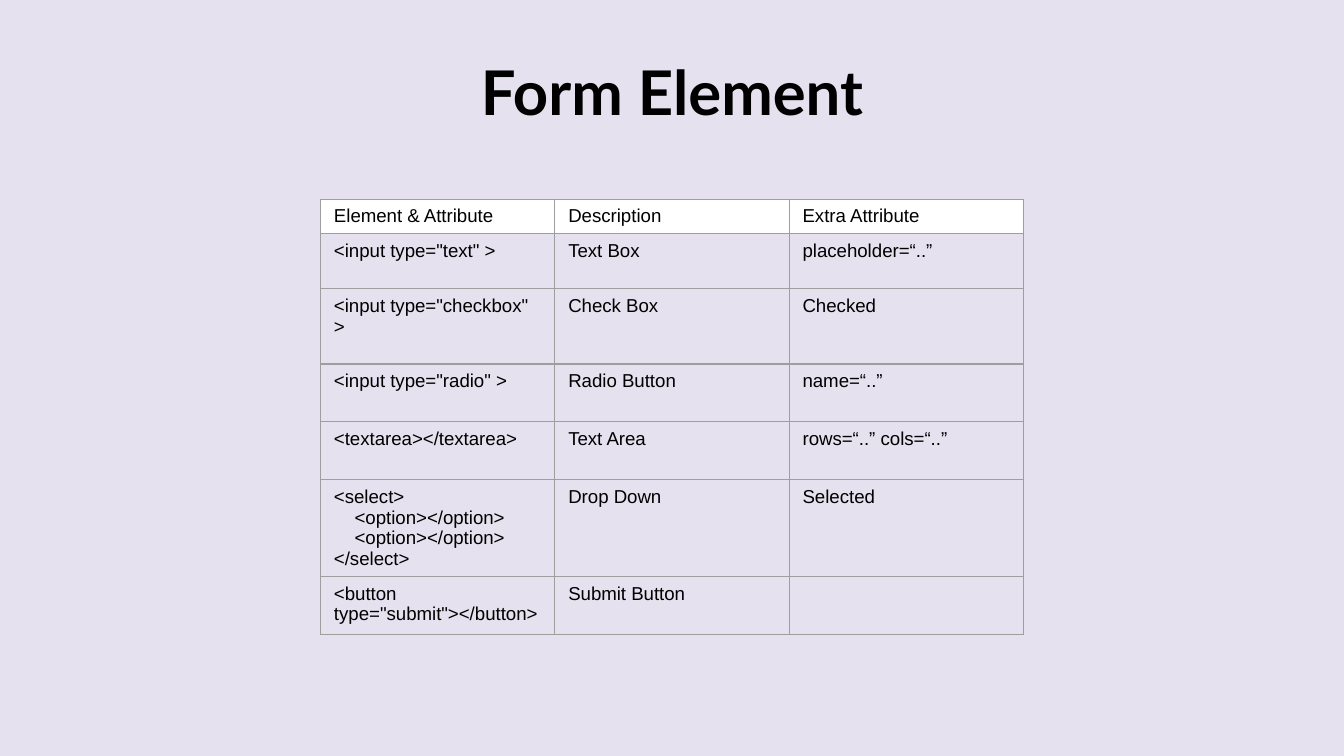
import pptx
import pptx.dml.color
import pptx.enum.text
import pptx.oxml
import pptx.oxml.ns
import pptx.util
from lxml import etree

WIDTH = pptx.util.Inches(10)
HEIGHT = WIDTH * 9 // 16
COLOURS = {"page": "E5E1EE", "text": "000000", "header": "FFFFFF", "border": "9E9E9E"}
BORDER_WIDTH = pptx.util.Pt(0.75)

ROWS = [
    ("Element & Attribute", "Description", "Extra Attribute"),
    ('<input type="text" >', "Text Box", "placeholder=“..”"),
    ('<input type="checkbox" >', "Check Box", "Checked"),
    ('<input type="radio" >', "Radio Button", "name=“..”"),
    ("<textarea></textarea>", "Text Area", "rows=“..” cols=“..”"),
    ("<select>\n    <option></option>\n    <option></option>\n</select>", "Drop Down", "Selected"),
    ('<button type="submit"></button>', "Submit Button", ""),
]
ROW_SHARES = [0.25, 0.41, 0.56, 0.43, 0.43, 0.72, 0.43]


def colour(name):
    return pptx.dml.color.RGBColor.from_string(COLOURS[name])


def centred_box(top, width, height):
    """Turn percentages of the slide's size into a horizontally centred box in EMU."""
    box_width = int(WIDTH * width / 100)
    return ((WIDTH - box_width) // 2, int(HEIGHT * top / 100),
            box_width, int(HEIGHT * height / 100))


def write_text(frame, text, size=10, font="Arial", bold=False,
               align=pptx.enum.text.PP_ALIGN.LEFT):
    frame.word_wrap = True
    for index, line in enumerate(text.split("\n")):
        para = frame.paragraphs[0] if index == 0 else frame.add_paragraph()
        para.alignment = align
        if not line:
            continue
        span = para.add_run()
        span.text = line
        span.font.size = pptx.util.Pt(size)
        span.font.name = font
        span.font.bold = bold
        span.font.color.rgb = colour("text")


def set_borders(cell):
    properties = cell._tc.get_or_add_tcPr()
    for side in ("lnL", "lnR", "lnT", "lnB"):
        line = etree.SubElement(properties, pptx.oxml.ns.qn(f"a:{side}"), w=str(BORDER_WIDTH))
        fill = etree.SubElement(line, pptx.oxml.ns.qn("a:solidFill"))
        etree.SubElement(fill, pptx.oxml.ns.qn("a:srgbClr"), val=COLOURS["border"])


def place_title(page, box):
    title = page.shapes.title
    title.left, title.top, title.width, title.height = box
    frame = title.text_frame
    frame.auto_size = pptx.enum.text.MSO_AUTO_SIZE.NONE
    frame.vertical_anchor = pptx.enum.text.MSO_ANCHOR.TOP
    frame.margin_left = frame.margin_right = pptx.util.Inches(0.1)
    frame.margin_top = frame.margin_bottom = pptx.util.Inches(0.1)
    write_text(frame, "Form Element", size=33, font="Lato", bold=True,
               align=pptx.enum.text.PP_ALIGN.CENTER)


def place_table(page, box):
    table = page.shapes.add_table(len(ROWS), len(ROWS[0]), *box).table
    table.first_row = table.horz_banding = False
    for column in table.columns:
        column.width = box[2] // len(ROWS[0])
    for row_index, texts in enumerate(ROWS):
        table.rows[row_index].height = int(box[3] * ROW_SHARES[row_index] / sum(ROW_SHARES))
        for column_index, text in enumerate(texts):
            cell = table.cell(row_index, column_index)
            set_borders(cell)
            if row_index == 0:
                cell.fill.solid()
                cell.fill.fore_color.rgb = colour("header")
            else:
                cell.fill.background()
            write_text(cell.text_frame, text)


def main():
    deck = pptx.Presentation()
    deck.slide_width, deck.slide_height = WIDTH, HEIGHT
    page = deck.slides.add_slide(deck.slide_layouts.get_by_name("Title Only"))
    page.background.fill.solid()
    page.background.fill.fore_color.rgb = colour("page")
    place_title(page, centred_box(top=5.33, width=32, height=11.2))
    place_table(page, centred_box(top=26.35, width=52.3, height=57.5))
    deck.save("out.pptx")


if __name__ == "__main__":
    main()
